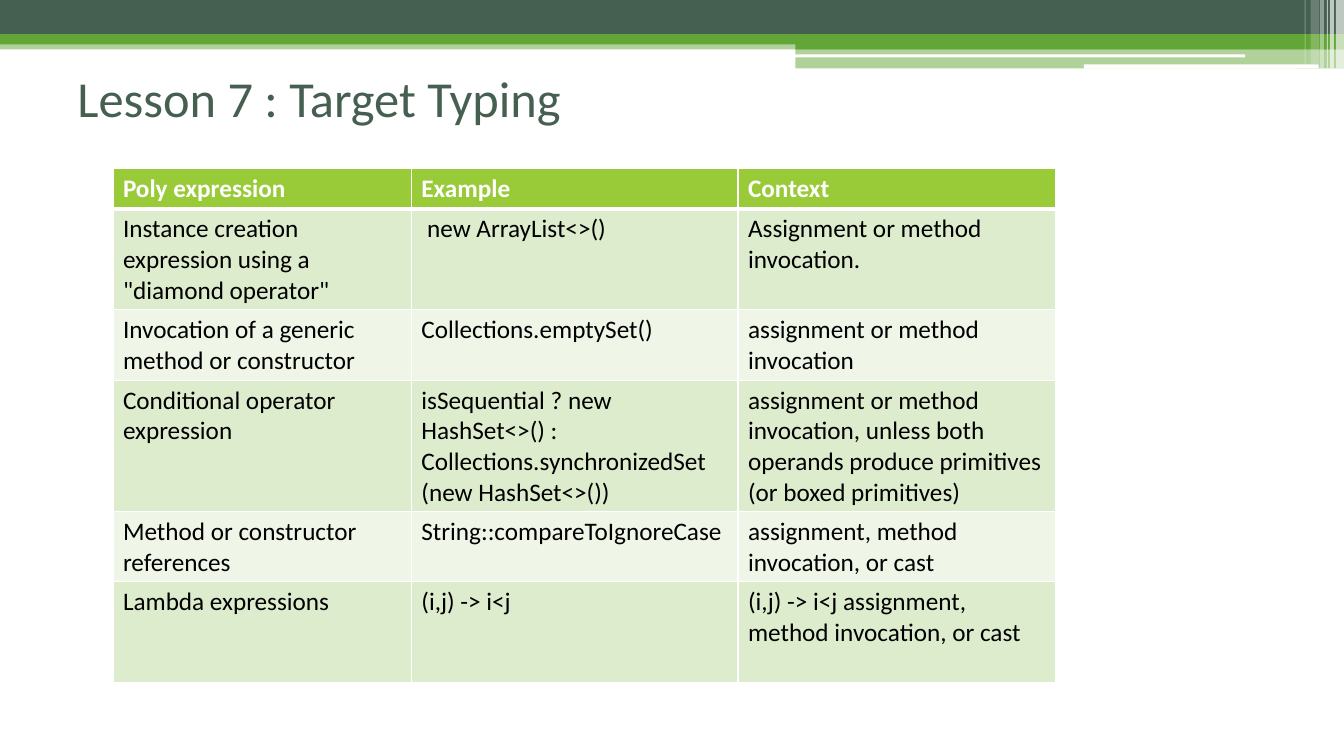
from pptx import Presentation
from pptx.dml.color import RGBColor as RGB
from pptx.enum.shapes import MSO_SHAPE as SHAPE
from pptx.enum.text import MSO_ANCHOR as ANCHOR
from pptx.oxml import parse_xml
from pptx.oxml.ns import nsdecls
from pptx.util import Inches, Pt

DARK = RGB(0x45, 0x5F, 0x51)
GREEN = RGB(0x63, 0xA5, 0x37)
LIME = RGB(0x99, 0xCB, 0x38)
BANDS = RGB(0xDE, 0xEC, 0xCE), RGB(0xEF, 0xF6, 0xE8)
WHITE = RGB(0xFF, 0xFF, 0xFF)
BLACK = RGB(0, 0, 0)
FONT = "Calibri"
WIDE, HIGH = 13.33, 7.5

TITLE = "Lesson 7 : Target Typing"
HEAD = ("Poly expression", "Example", "Context")
ROWS = [
    ('Instance creation expression using a "diamond operator"',
     " new ArrayList<>()", "Assignment or method invocation."),
    ("Invocation of a generic method or constructor",
     "Collections.emptySet()", "assignment or method invocation"),
    ("Conditional operator expression",
     "isSequential ? new HashSet<>() : Collections.synchronizedSet "
     "(new HashSet<>())",
     "assignment or method invocation, unless both operands produce "
     "primitives (or boxed primitives)"),
    ("Method or constructor references", "String::compareToIgnoreCase",
     "assignment, method invocation, or cast"),
    ("Lambda expressions", "(i,j) -> i<j",
     "(i,j) -> i<j assignment, method invocation, or cast"),
]
LINES = (1, 3, 2, 4, 2, 3)      # text lines each row has room for
COLS = (2.96, 3.24, 3.15)
LINE, PAD = 0.3, 0.1            # line height and cell padding

# left, top, width, height, colour, opacity in percent
BARS = [
    (0, 0.4, WIDE, 0.09, GREEN, 50),
    (0, 0, WIDE, 0.34, DARK, 100),
    (0, 0.34, WIDE, 0.1, GREEN, 100),
    (7.89, 0.39, 5.44, 0.1, GREEN, 100),
    (7.89, 0.48, 5.44, 0.2, GREEN, 50),
]
SLOTS = [(7.88, 0.54, 4.47, 0.03), (10.75, 0.64, 2.33, 0.04)]
# left, width, height, opacity in percent
STRIPES = [
    (13.25, 0.08, 0.68, 65), (13.19, 0.04, 0.68, 65),
    (13.16, 0.01, 0.68, 60), (13.09, 0.04, 0.68, 40),
    (13, 0.08, 0.64, 20), (12.94, 0.01, 0.64, 30),
]


def bar(left, top, width, height, color, alpha=100, kind=SHAPE.RECTANGLE):
    """Draw a plain filled bar, see-through when alpha is below 100."""
    box = slide.shapes.add_shape(
        kind, *[Inches(n) for n in (left, top, width, height)])
    box.shadow.inherit = False
    box.line.fill.background()
    box.fill.solid()
    box.fill.fore_color.rgb = color
    if alpha < 100:
        tint = box._element.spPr.find(".//{*}srgbClr")
        tint.append(parse_xml(
            f'<a:alpha {nsdecls("a")} val="{alpha * 1000}"/>'))


def write(frame, text, size=18, color=BLACK, bold=False):
    """Put formatted text in a text frame."""
    frame.word_wrap = True
    run = frame.paragraphs[0].add_run()
    run.text = text
    font = run.font
    font.name, font.size, font.bold = FONT, Pt(size), bold
    font.color.rgb = color


def edge(cell, **sides):
    """Give a cell white borders of the given widths in points."""
    props = cell._tc.get_or_add_tcPr()
    for spot, (side, width) in enumerate(sides.items()):
        props.insert(spot, parse_xml(
            f'<a:ln{side} {nsdecls("a")} w="{Pt(width)}"><a:solidFill>'
            f'<a:srgbClr val="{WHITE}"/></a:solidFill></a:ln{side}>'))


def grid(left, top):
    """Build the table with its header row and banded body."""
    highs = [PAD + LINE * n for n in LINES]
    table = slide.shapes.add_table(
        len(highs), len(COLS), Inches(left), Inches(top),
        Inches(sum(COLS)), Inches(sum(highs))).table
    table.horz_banding = table.first_row = False
    for col, width in zip(table.columns, COLS):
        col.width = Inches(width)
    for r, texts in enumerate([HEAD] + ROWS):
        table.rows[r].height = Inches(highs[r])
        first = r == 0
        for c, text in enumerate(texts):
            cell = table.cell(r, c)
            cell.fill.solid()
            cell.fill.fore_color.rgb = LIME if first else BANDS[(r - 1) % 2]
            edge(cell, L=1, R=1, T=3 if r == 1 else 1, B=3 if first else 1)
            write(cell.text_frame, text, bold=first,
                  color=WHITE if first else BLACK)


deck = Presentation()
deck.slide_width, deck.slide_height = Inches(WIDE), Inches(HIGH)
slide = deck.slides.add_slide(deck.slide_layouts[6])

for spec in BARS:
    bar(*spec)
for spot in SLOTS:
    bar(*spot, WHITE, kind=SHAPE.ROUNDED_RECTANGLE)
for left, width, height, alpha in STRIPES:
    bar(left, 0, width, height, WHITE, alpha)

title = slide.shapes.add_textbox(
    Inches(0.67), Inches(0.63), Inches(12), Inches(0.68)).text_frame
title.vertical_anchor = ANCHOR.MIDDLE
write(title, TITLE, size=36, color=DARK)
grid(1.12, 1.67)

deck.save("out.pptx")
